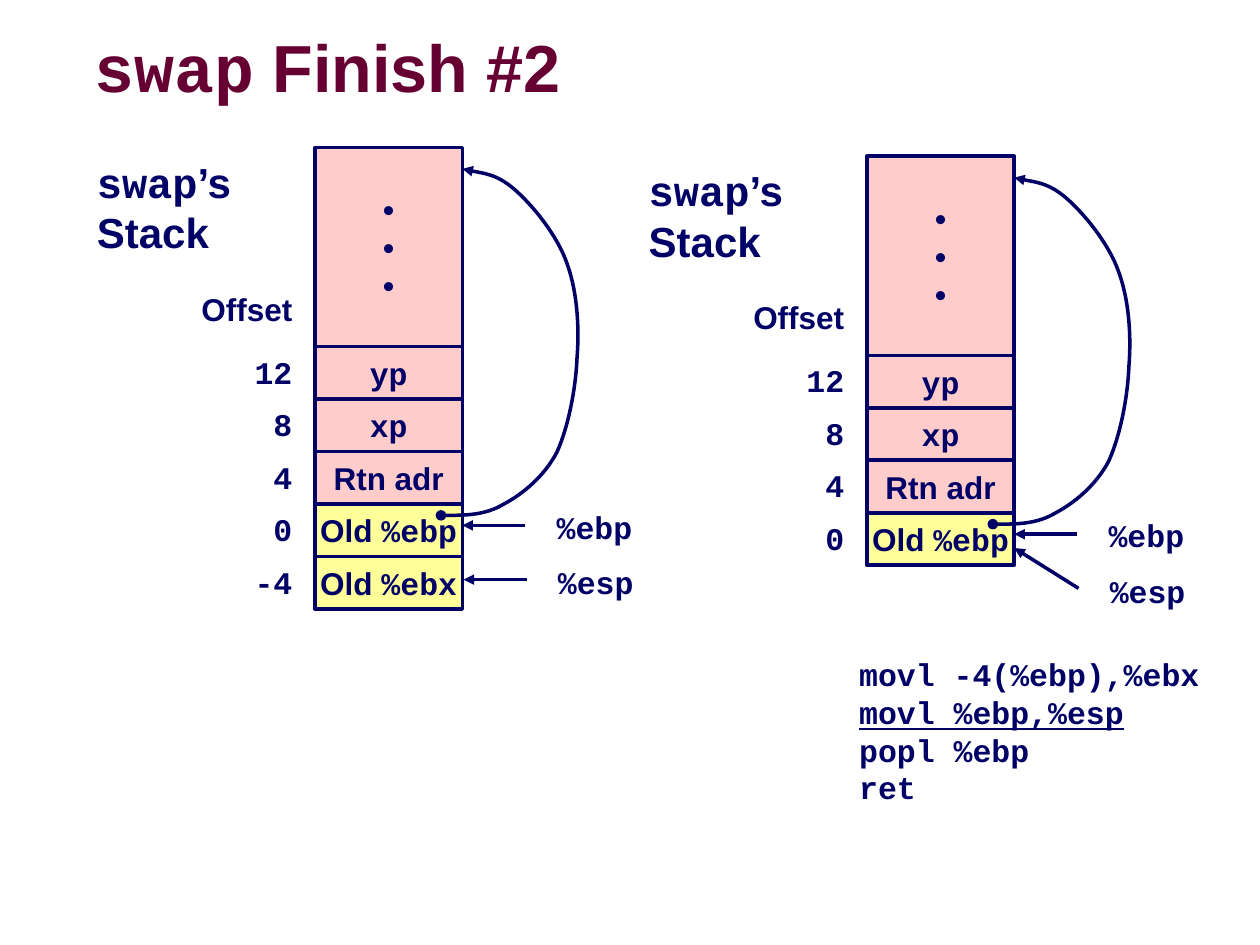
import pptx
import pptx.util
import pptx.dml.color
import pptx.enum.shapes
import pptx.enum.text
import pptx.oxml
import pptx.oxml.ns
from lxml import etree

Inches = pptx.util.Inches
RGBColor = pptx.dml.color.RGBColor
ALIGN = pptx.enum.text.PP_ALIGN
ANCHOR = pptx.enum.text.MSO_ANCHOR
qn = pptx.oxml.ns.qn

NAVY = RGBColor(0x00, 0x00, 0x66)
MAROON = RGBColor(0x66, 0x00, 0x33)
PINK = RGBColor(0xFF, 0xCC, 0xCC)
YELLOW = RGBColor(0xFF, 0xFF, 0x99)
SANS, MONO = "Arial", "Courier New"

COLUMN_WIDTH = 1.17
CALLER_HEIGHT = 1.58
ROW_HEIGHT = 1.25 / 3
LABEL_HEIGHT = 0.4

ROWS = [
    ("12", [("yp", MONO)], PINK),
    ("8", [("xp", MONO)], PINK),
    ("4", [("Rtn adr", SANS)], PINK),
    ("0", [("Old ", SANS), ("%ebp", MONO)], YELLOW),
    ("-4", [("Old ", SANS), ("%ebx", MONO)], YELLOW),
]

# Start point, then three points for each curve, from the column's top left
FRAME_LINK = [
    (1, 2.92), (1.17, 2.92), (1.35, 2.92), (1.5, 2.83),
    (1.65, 2.75), (1.82, 2.61), (1.92, 2.42),
    (2.01, 2.22), (2.07, 1.92), (2.08, 1.67),
    (2.1, 1.42), (2.08, 1.14), (2, 0.92),
    (1.92, 0.69), (1.72, 0.45), (1.58, 0.33),
    (1.44, 0.21), (1.24, 0.19), (1.17, 0.17),
]


def write_spans(para, spans, size, color=NAVY, **extra):
    for text, font_name in spans:
        span = para.add_run()
        span.text = text
        span.font.color.rgb = color
        look = dict(name=font_name, size=pptx.util.Pt(size), bold=True, **extra)
        for key, value in look.items():
            setattr(span.font, key, value)


def write_lines(frame, lines, size=18, align=ALIGN.LEFT):
    for number, spans in enumerate(lines):
        para = frame.add_paragraph() if number else frame.paragraphs[0]
        para.alignment = align
        write_spans(para, spans, size)


def add_label(page, left, top, width, height, lines, size=18):
    box = page.shapes.add_textbox(
        Inches(left), Inches(top), Inches(width), Inches(height))
    box.text_frame.word_wrap = False
    write_lines(box.text_frame, lines, size)


def add_offset(page, left, top, text):
    box = page.shapes.add_textbox(
        Inches(left), Inches(top), Inches(0.65), Inches(LABEL_HEIGHT))
    frame = box.text_frame
    frame.word_wrap = True
    frame.margin_left, frame.margin_right = 0, Inches(0.25)
    write_lines(frame, [[(text, MONO)]], align=ALIGN.RIGHT)


def add_cell(page, left, top, height, fill, lines):
    cell = page.shapes.add_shape(
        pptx.enum.shapes.MSO_SHAPE.RECTANGLE,
        Inches(left), Inches(top), Inches(COLUMN_WIDTH), Inches(height))
    cell.shadow.inherit = False
    cell.fill.solid()
    cell.fill.fore_color.rgb = fill
    style_line(cell)
    cell.text_frame.word_wrap = False
    cell.text_frame.vertical_anchor = ANCHOR.MIDDLE
    write_lines(cell.text_frame, lines, align=ALIGN.CENTER)


def style_line(shape, **ends):
    """Navy outline, with optional headEnd and tailEnd kinds."""
    shape.line.color.rgb = NAVY
    shape.line.width = pptx.util.Pt(2)
    for tag, kind in ends.items():
        etree.SubElement(shape.line._get_or_add_ln(), qn("a:" + tag), type=kind)


def add_arrow(page, start, end):
    arrow = page.shapes.add_connector(
        pptx.enum.shapes.MSO_CONNECTOR.STRAIGHT,
        *[Inches(value) for value in (*start, *end)])
    style_line(arrow, tailEnd="triangle")
    etree.SubElement(arrow._element.spPr, qn("a:effectLst"))


def add_curve(page, left, top, points):
    corners = [(Inches(left + x), Inches(top + y)) for x, y in points]
    builder = page.shapes.build_freeform(*corners[0])
    builder.add_line_segments(corners[1:], close=False)
    curve = builder.convert_to_shape()
    curve.shadow.inherit = False
    curve.fill.background()
    style_line(curve, headEnd="oval", tailEnd="triangle")
    # Gather each three line segments into one Bezier segment
    segments = list(curve._element.iter(qn("a:lnTo")))
    outline = segments[0].getparent()
    for first in range(0, len(segments), 3):
        bezier = etree.SubElement(outline, qn("a:cubicBezTo"))
        for segment in segments[first:first + 3]:
            bezier.append(segment[0])
            outline.remove(segment)


def add_stack(page, left, top, rows, esp_start, esp_end):
    # Heading and offset caption
    add_label(page, left - 1.83, top + 0.02, 1.28, 0.9,
              [[("swap", MONO), ("’s", SANS)], [("Stack", SANS)]], 24)
    add_label(page, left - 1, top + 1.08, 0.92, LABEL_HEIGHT,
              [[("Offset", SANS)]])
    # Column of cells
    add_cell(page, left, top, CALLER_HEIGHT, PINK, [[("•", SANS)]] * 3)
    for number, (offset, spans, fill) in enumerate(rows):
        row_top = top + CALLER_HEIGHT + number * ROW_HEIGHT
        add_cell(page, left, row_top, ROW_HEIGHT, fill, [spans])
        add_offset(page, left - 0.58, row_top, offset)
    # Registers: each label stands beside the start of its arrow
    pointers = [("%ebp", (1.67, 3), (1.17, 3), 2.81),
                ("%esp", esp_start, esp_end, 3.25)]
    for name, start, end, label_top in pointers:
        add_arrow(page, *[(left + x, top + y) for x, y in (start, end)])
        add_label(page, left + start[0] + 0.15, top + label_top,
                  0.8, LABEL_HEIGHT, [[(name, MONO)]])
    # Saved frame pointer
    add_curve(page, left, top, FRAME_LINK)


def add_title(page, left, top, width, height):
    title = page.shapes.title
    title.left, title.top = Inches(left), Inches(top)
    title.width, title.height = Inches(width), Inches(height)
    frame = title.text_frame
    for side in ("left", "top", "right", "bottom"):
        setattr(frame, "margin_" + side, 0)
    frame.vertical_anchor = ANCHOR.MIDDLE
    para = frame.paragraphs[0]
    para.alignment = ALIGN.LEFT
    para.line_spacing = 0.87
    write_spans(para, [("swap", MONO), (" Finish #2", SANS)], 38, MAROON)
    for span in para.runs:
        fill = span.font._element.find(qn("a:solidFill"))
        fill.addnext(pptx.oxml.parse_xml(
            '<a:effectLst xmlns:a="http://schemas.openxmlformats.org/'
            'drawingml/2006/main"><a:outerShdw dist="45720" dir="2700000">'
            '<a:srgbClr val="969696"/></a:outerShdw></a:effectLst>'))


def add_code(page, left, top, width, height, lines, current):
    box = page.shapes.add_textbox(
        Inches(left), Inches(top), Inches(width), Inches(height))
    frame = box.text_frame
    frame.word_wrap = True
    for number, text in enumerate(lines):
        para = frame.add_paragraph() if number else frame.paragraphs[0]
        para._p.get_or_add_pPr().set("marL", str(Inches(0.5)))
        write_spans(para, [(text, MONO)], 18, underline=number == current)


def main():
    deck = pptx.Presentation()
    deck.slide_width, deck.slide_height = Inches(10), Inches(7.5)
    page = deck.slides.add_slide(deck.slide_layouts.get_by_name("Title Only"))
    add_title(page, 0.75, 0.25, 6.07, 0.63)
    add_stack(page, 2.5, 1.17, ROWS, (1.68, 3.43), (1.18, 3.43))
    add_stack(page, 6.88, 1.24, ROWS[:-1], (1.68, 3.43), (1.17, 3.11))
    add_code(page, 6.22, 5.15, 3.42, 1.3,
             ["movl -4(%ebp),%ebx", "movl %ebp,%esp", "popl %ebp", "ret"], 1)
    deck.save("out.pptx")


if __name__ == "__main__":
    main()
